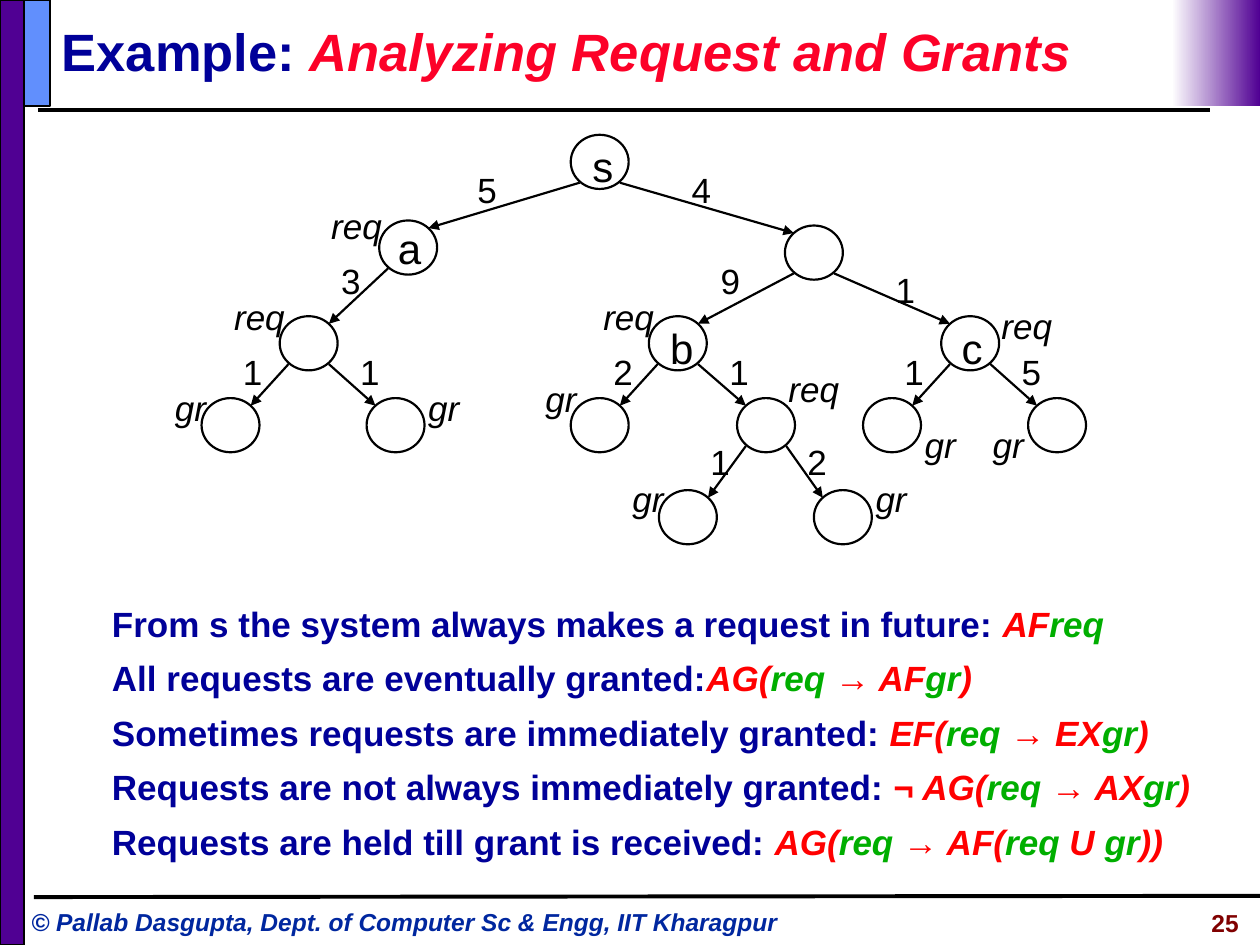
"""Build a slide that analyses requests and grants on a computation tree."""
import pptx
import pptx.dml.color
import pptx.enum.shapes
import pptx.enum.text
import pptx.oxml
import pptx.oxml.ns
import pptx.util

PX = 9144
NODE_WIDTH, NODE_HEIGHT = 46, 43
BLACK, NAVY, RED, GREEN = "000000", "000099", "FF0000", "00AE00"
SHAPE = pptx.enum.shapes.MSO_SHAPE
ALIGN = pptx.enum.text.PP_ALIGN


def color(value):
    return pptx.dml.color.RGBColor.from_string(value)


def write(paragraph, text, size=20, fill=BLACK, bold=False, italic=False):
    run = paragraph.add_run()
    run.text = text
    run.font.name = "Arial"
    run.font.size = pptx.util.Pt(size)
    run.font.color.rgb = color(fill)
    run.font.bold = bold
    run.font.italic = italic


presentation = pptx.Presentation()
presentation.slide_width = 1000 * PX
presentation.slide_height = 750 * PX
slide = presentation.slides.add_slide(presentation.slide_layouts[5])

title = slide.shapes.title
title.left, title.top, title.width, title.height = 39 * PX, 10 * PX, 910 * PX, 61 * PX
title.text_frame.vertical_anchor = pptx.enum.text.MSO_ANCHOR.MIDDLE
title.text_frame.auto_size = pptx.enum.text.MSO_AUTO_SIZE.NONE
paragraph = title.text_frame.paragraphs[0]
paragraph.alignment = ALIGN.LEFT
write(paragraph, "Example: ", size=30, fill=NAVY, bold=True)
write(paragraph, "Analyzing Request and Grants", size=30, fill="FC0128", bold=True, italic=True)

bars = [
    (0, 0, 19, 750, "500093"),
    (19, 0, 21, 84, "618FFD"),
    (930, 0, 70, 84, None),
]
for left, top, width, height, fill in bars:
    bar = slide.shapes.add_shape(SHAPE.RECTANGLE, left * PX, top * PX, width * PX, height * PX)
    bar.shadow.inherit = False
    if fill:
        bar.fill.solid()
        bar.fill.fore_color.rgb = color(fill)
        bar.line.color.rgb = color(BLACK)
        bar.line.width = pptx.util.Pt(1)
    else:
        bar.fill.gradient()
        bar.fill.gradient_angle = 180
        for stop, stop_color in zip(bar.fill.gradient_stops, ("500093", "FFFFFF")):
            stop.color.rgb = color(stop_color)
        bar.line.fill.background()

nodes = {
    "s": (453, 107),
    "a": (301, 175),
    "right": (623, 179),
    "a child": (222, 251),
    "b": (515, 251),
    "c": (747, 251),
    "a left": (160, 316),
    "a right": (291, 316),
    "b left": (453, 316),
    "b right": (585, 316),
    "c left": (685, 316),
    "c right": (816, 316),
    "deep left": (523, 389),
    "deep right": (646, 389),
}
for left, top in nodes.values():
    node = slide.shapes.add_shape(
        SHAPE.OVAL, left * PX, top * PX, NODE_WIDTH * PX, NODE_HEIGHT * PX)
    node.shadow.inherit = False
    node.fill.background()
    node.line.color.rgb = color(BLACK)
    node.line.width = pptx.util.Pt(1.25)

edges = [
    ("s", "a"), ("s", "right"), ("a", "a child"), ("right", "b"), ("right", "c"),
    ("a child", "a left"), ("a child", "a right"), ("b", "b left"), ("b", "b right"),
    ("c", "c left"), ("c", "c right"), ("b right", "deep left"), ("b right", "deep right"),
]
lines = [(30, 87, 960, 87, 2.25, False), (27, 712, 1000, 711, 2.25, False)]
for parent, child in edges:
    parent_left, parent_top = nodes[parent]
    child_left, child_top = nodes[child]
    start, end = (7, 39) if child_left < parent_left else (39, 7)
    lines.append((parent_left + start, parent_top + 38, child_left + end, child_top + 6, 1.25, True))

for x1, y1, x2, y2, weight, arrow in lines:
    connector = slide.shapes.add_connector(
        pptx.enum.shapes.MSO_CONNECTOR.STRAIGHT, x1 * PX, y1 * PX, x2 * PX, y2 * PX)
    connector.line.color.rgb = color(BLACK)
    connector.line.width = pptx.util.Pt(weight)
    if arrow:
        tail = pptx.oxml.parse_xml(
            f'<a:tailEnd {pptx.oxml.ns.nsdecls("a")} type="triangle"/>')
        connector.line._get_or_add_ln().append(tail)
    connector._element.spPr.append(
        pptx.oxml.parse_xml(f'<a:effectLst {pptx.oxml.ns.nsdecls("a")}/>'))

names = [("s", 460, 107), ("a", 306, 172), ("b", 522, 251), ("c", 753, 251)]
weights = [
    ("5", 369, 129), ("4", 539, 129), ("3", 261, 201), ("9", 562, 201), ("1", 701, 208),
    ("1", 183, 273), ("1", 276, 273), ("2", 477, 273), ("1", 569, 273), ("1", 708, 273),
    ("5", 801, 273), ("1", 554, 345), ("2", 631, 345),
]
requests = [(253, 157), (176, 230), (469, 230), (785, 237), (616, 287)]
grants = [
    (129, 302), (330, 302), (423, 295), (724, 331), (778, 331), (492, 374), (685, 374),
]
labels = [(text, left, top, 37, 50, False, ALIGN.CENTER, {"size": 24}) for text, left, top in names]
labels += [(text, left, top, 35, 44, False, ALIGN.LEFT, {}) for text, left, top in weights]
labels += [("req", left, top, 60, 44, False, ALIGN.LEFT, {"italic": True}) for left, top in requests]
labels += [("gr", left, top, 45, 44, False, ALIGN.LEFT, {"italic": True}) for left, top in grants]
labels += [
    ("© Pallab Dasgupta, Dept. of Computer Sc & Engg, IIT Kharagpur", 15, 715, 637, 34,
     True, ALIGN.LEFT, {"size": 14, "fill": "00279F", "bold": True, "italic": True}),
    ("25", 818, 716, 175, 35, True, ALIGN.RIGHT, {"size": 14, "fill": "800000", "bold": True}),
]
for text, left, top, width, height, wrap, alignment, style in labels:
    box = slide.shapes.add_textbox(left * PX, top * PX, width * PX, height * PX)
    box.text_frame.word_wrap = wrap
    paragraph = box.text_frame.paragraphs[0]
    paragraph.alignment = alignment
    write(paragraph, text, **style)

properties = [
    ("From s the system always makes a request in future: ", "AF|req"),
    ("All requests are eventually granted:", "AG(|req |→ AF|gr|)"),
    ("Sometimes requests are immediately granted: ", "EF(|req |→ EX|gr|)"),
    ("Requests are not always immediately granted: ", "¬ AG(|req |→ AX|gr|)"),
    ("Requests are held till grant is received: ", "AG(|req |→ AF(|req| U |gr|))"),
]
box = slide.shapes.add_textbox(79 * PX, 463 * PX, 878 * PX, 227 * PX)
box.text_frame.word_wrap = True
for index, (statement, formula) in enumerate(properties):
    paragraph = box.text_frame.add_paragraph() if index else box.text_frame.paragraphs[0]
    paragraph.line_spacing = 1.3
    write(paragraph, statement, fill=NAVY, bold=True)
    for position, part in enumerate(formula.split("|")):
        write(paragraph, part, fill=GREEN if position % 2 else RED, bold=True, italic=True)

presentation.save("out.pptx")
